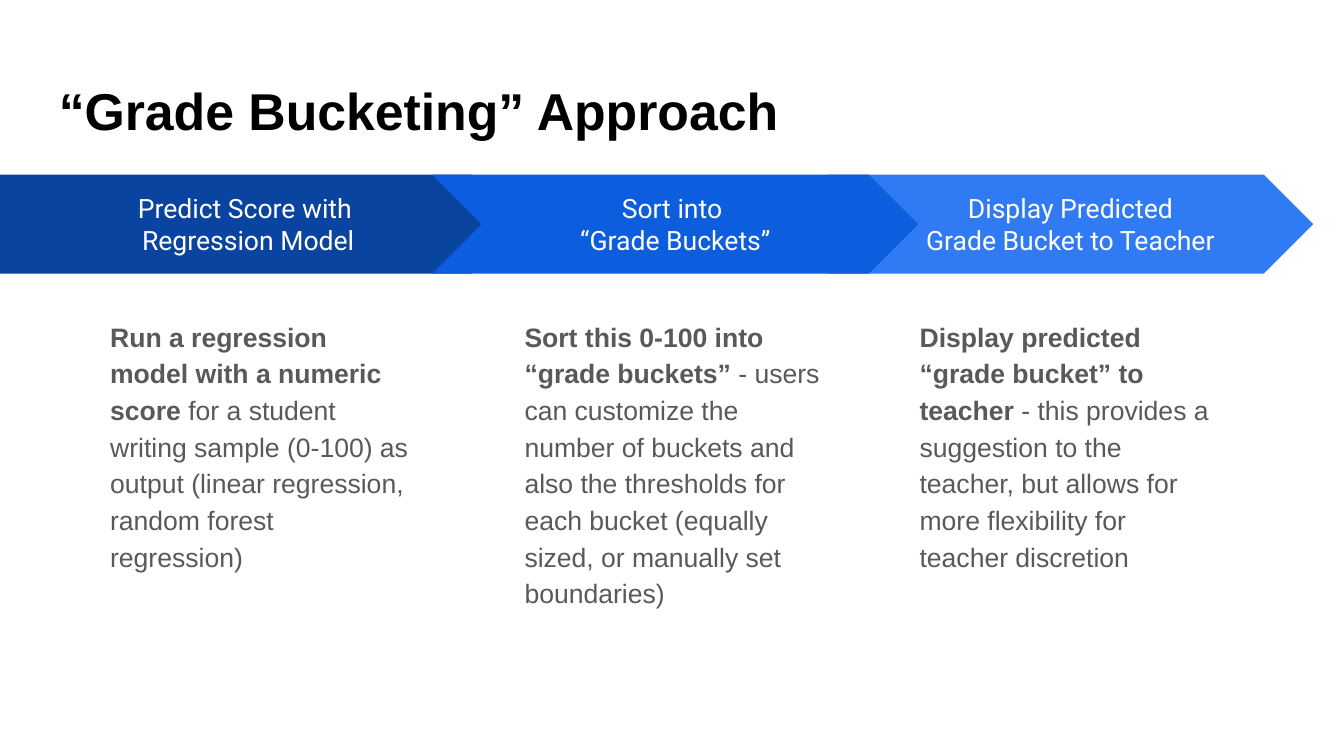
import pptx
import pptx.util
import pptx.dml.color
import pptx.enum.shapes
import pptx.enum.text

Pt = pptx.util.Pt
RGBColor = pptx.dml.color.RGBColor
Shape = pptx.enum.shapes.MSO_SHAPE
Align = pptx.enum.text.PP_ALIGN
Anchor = pptx.enum.text.MSO_ANCHOR

BLACK = RGBColor(0x00, 0x00, 0x00)
WHITE = RGBColor(0xFF, 0xFF, 0xFF)
GREY = RGBColor(0x59, 0x59, 0x59)
NAVY = RGBColor(0x09, 0x44, 0xA1)
BLUE = RGBColor(0x0D, 0x5D, 0xDF)
SKY = RGBColor(0x30, 0x7B, 0xF3)

INSET = 9.6
PITCH = 282.2  # distance between the second and third steps


def set_frame(frame, anchor):
    frame.word_wrap = True
    frame.auto_size = pptx.enum.text.MSO_AUTO_SIZE.NONE
    frame.vertical_anchor = anchor
    frame.margin_left = frame.margin_right = Pt(INSET)
    frame.margin_top = frame.margin_bottom = Pt(INSET)


def set_font(para, name, size, color):
    para.font.name = name
    para.font.size = Pt(size)
    para.font.color.rgb = color


def add_title(slide, left, top, width, height, text):
    title = slide.shapes.title
    title.left, title.top = Pt(left), Pt(top)
    title.width, title.height = Pt(width), Pt(height)
    set_frame(title.text_frame, Anchor.TOP)
    title.text_frame.text = text
    para = title.text_frame.paragraphs[0]
    para.alignment = Align.LEFT
    para.line_spacing = 1.0
    set_font(para, "Arial", 37, BLACK)
    para.font.bold = True


def add_arrow(slide, kind, left, top, width, height, color, lines):
    arrow = slide.shapes.add_shape(kind, Pt(left), Pt(top), Pt(width), Pt(height))
    arrow.adjustments[0] = 0.5
    arrow.shadow.inherit = False
    arrow.fill.solid()
    arrow.fill.fore_color.rgb = color
    arrow.line.fill.background()
    set_frame(arrow.text_frame, Anchor.MIDDLE)
    arrow.text_frame.text = "\n".join(lines)
    for para in arrow.text_frame.paragraphs:
        para.alignment = Align.CENTER
        set_font(para, "Roboto", 19, WHITE)


def add_body(slide, left, top, width, height, lead, rest):
    box = slide.shapes.add_textbox(Pt(left), Pt(top), Pt(width), Pt(height))
    set_frame(box.text_frame, Anchor.TOP)
    para = box.text_frame.paragraphs[0]
    para.line_spacing = 1.15
    set_font(para, "Arial", 19, GREY)
    for text, bold in ((lead, True), (rest, False)):
        run = para.add_run()
        run.text = text
        run.font.bold = bold


def add_step(slide, left, top, width, indent, kind, color, lines, lead, rest):
    add_arrow(slide, kind, left, top, width, 70.6, color, lines)
    add_body(slide, left + indent, top + 91.2, 234.7, 274.3, lead, rest)


def main():
    deck = pptx.Presentation()
    deck.slide_width, deck.slide_height = Pt(960), Pt(540)
    slide = deck.slides.add_slide(deck.slide_layouts[5])
    add_title(slide, 32.4, 46.8, 894.2, 59.8, "“Grade Bucketing” Approach")

    # Back to front: the middle step overlaps both of its neighbours
    mid = 308.9
    add_step(slide, mid + PITCH, 124.8, 347, 56.2, Shape.CHEVRON, SKY,
             ("Display Predicted", "Grade Bucket to Teacher"),
             "Display predicted “grade bucket” to teacher ",
             "- this provides a suggestion to the teacher, but allows for "
             "more flexibility for teacher discretion")
    add_step(slide, 0, 124.8, 372.2, 69.1, Shape.PENTAGON, NAVY,
             ("Predict Score with ", "Regression Model"),
             "Run a regression model with a numeric score ",
             "for a student writing sample (0-100) as output "
             "(linear regression, random forest regression)")
    add_step(slide, mid, 124.8, 347, 56.2, Shape.CHEVRON, BLUE,
             ("Sort into ", "“Grade Buckets”"),
             "Sort this 0-100 into “grade buckets”",
             " - users can customize the number of buckets and also the "
             "thresholds for each bucket (equally sized, or manually set "
             "boundaries)")
    deck.save("out.pptx")


if __name__ == "__main__":
    main()
